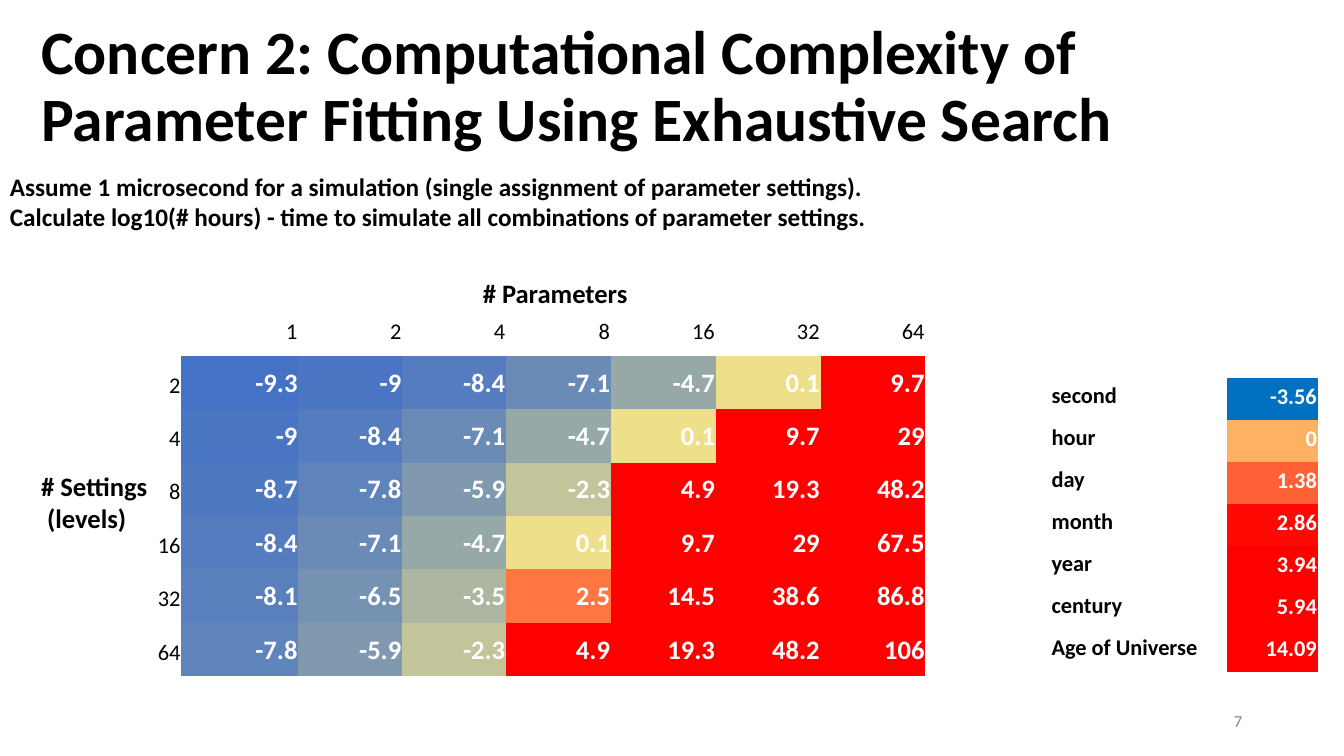
from pptx import Presentation
from pptx.dml.color import RGBColor
from pptx.enum.text import MSO_ANCHOR, PP_ALIGN
from pptx.oxml.ns import qn
from pptx.util import Inches, Pt

LEFT, RIGHT = PP_ALIGN.LEFT, PP_ALIGN.RIGHT
TOP, MIDDLE, BOTTOM = MSO_ANCHOR.TOP, MSO_ANCHOR.MIDDLE, MSO_ANCHOR.BOTTOM
PLAIN_STYLE = "{2D5ABB26-0587-4C30-8999-92F81FD0307C}"
COLORS = {"black": "000000", "white": "FFFFFF", "gray": "888888", "red": "FF0000"}

TITLE = "Concern 2: Computational Complexity of Parameter Fitting Using Exhaustive Search"
# lines, place (left, top, width, height), text format
NOTES = [
    (["# Parameters"], (4.69, 2.65, 2.32, 0.52), {"size": 19, "bold": True}),
    (["# Settings", " (levels)"], (0.31, 4.56, 1.28, 0.84), {"size": 19, "bold": True}),
    (["Assume 1 microsecond for a simulation (single assignment of parameter settings).",
      "Calculate log10(# hours) - time to simulate all combinations of parameter settings."],
     (0, 1.6, 9.37, 0.81), {"size": 18, "bold": True}),
]
PAGE = (["7"], (9.42, 6.95, 3, 0.4), {"size": 12, "color": "gray", "align": RIGHT})

HOURS = [
    ["", "1", "2", "4", "8", "16", "32", "64"],
    ["2", "-9.3", "-9", "-8.4", "-7.1", "-4.7", "0.1", "9.7"],
    ["4", "-9", "-8.4", "-7.1", "-4.7", "0.1", "9.7", "29"],
    ["8", "-8.7", "-7.8", "-5.9", "-2.3", "4.9", "19.3", "48.2"],
    ["16", "-8.4", "-7.1", "-4.7", "0.1", "9.7", "29", "67.5"],
    ["32", "-8.1", "-6.5", "-3.5", "2.5", "14.5", "38.6", "86.8"],
    ["64", "-7.8", "-5.9", "-2.3", "4.9", "19.3", "48.2", "106"],
]
UNITS = [
    ["second", "-3.56"], ["hour", "0"], ["day", "1.38"], ["month", "2.86"],
    ["year", "3.94"], ["century", "5.94"], ["Age of Universe", "14.09"],
]
# Cell fill for each value; every longer time is red
HEAT = {
    "-9.3": "4472C4", "-9": "4975C3", "-8.7": "4E79C1", "-8.4": "547CBF",
    "-8.1": "5980BD", "-7.8": "5F83BB", "-7.1": "6B8BB7", "-6.5": "7692B3",
    "-5.9": "8199AF", "-4.7": "97A8A8", "-3.5": "ADB6A0", "-2.3": "C3C499",
    "0.1": "EEE08A", "2.5": "FF7642",
    "-3.56": "0070C0", "0": "FFB163", "1.38": "FF6036", "2.86": "FF0905",
}
LABEL = {"size": 16, "align": RIGHT, "spacing": 1.15}
VALUE = {"size": 19, "bold": True, "color": "white", "align": RIGHT, "spacing": 1.15}
UNIT = {"size": 16, "bold": True}


def write(frame, lines, size, bold=False, color="black", align=LEFT, spacing=1.0):
    frame.text = "\n".join(lines)
    for par in frame.paragraphs:
        par.alignment, par.line_spacing = align, spacing
        font = par.font
        for key, value in {"name": "Calibri", "size": Pt(size), "bold": bold}.items():
            setattr(font, key, value)
        font.color.rgb = RGBColor.from_string(COLORS[color])


def inset(target, left, top, right, bottom):
    sides = {"left": left, "top": top, "right": right, "bottom": bottom}
    for side, gap in sides.items():
        setattr(target, "margin_" + side, Inches(gap))


def add_text(slide, lines, place, style, pad=0.1, anchor=TOP):
    frame = slide.shapes.add_textbox(*map(Inches, place)).text_frame
    frame.word_wrap = True
    frame.vertical_anchor = anchor
    inset(frame, 0.1, pad, 0.1, pad)
    write(frame, lines, **style)


def add_grid(slide, data, left, top, widths, height, label, value, head):
    """Add a table whose cells below the head rows and past column one are heat-filled."""
    size = sum(widths), height * len(data)
    table = slide.shapes.add_table(
        len(data), len(widths), *map(Inches, (left, top, *size))).table
    table.first_row = table.horz_banding = False
    table._tbl.tblPr.find(qn("a:tableStyleId")).text = PLAIN_STYLE
    for column, width in zip(table.columns, widths):
        column.width = Inches(width)
    for r, texts in enumerate(data):
        table.rows[r].height = Inches(height)
        for c, text in enumerate(texts):
            cell = table.cell(r, c)
            cell.vertical_anchor = BOTTOM
            inset(cell, 0.01, 0.01, 0.01, 0.1)
            hot = r >= head and c > 0
            write(cell.text_frame, [text], **(value if hot else label))
            if hot:
                cell.fill.solid()
                shade = HEAT.get(text, COLORS["red"])
                cell.fill.fore_color.rgb = RGBColor.from_string(shade)
            else:
                cell.fill.background()


def main():
    deck = Presentation()
    deck.slide_width, deck.slide_height = Inches(13.33), Inches(7.5)
    slide = deck.slides.add_slide(deck.slide_layouts[5])

    title = slide.shapes.title
    place = {"left": 0.31, "top": 0.15, "width": 12.63, "height": 1.45}
    for key, value in place.items():
        setattr(title, key, Inches(value))
    title.text_frame.vertical_anchor = MIDDLE
    inset(title.text_frame, 0.1, 0.05, 0.1, 0.05)
    write(title.text_frame, [TITLE], size=44, bold=True, spacing=0.9)

    for note in NOTES:
        add_text(slide, *note)
    widths = [1.3, 1.16] + [1.03] * 2 + [1.04] * 4
    add_grid(slide, HOURS, 0.5, 3, widths, 0.53, LABEL, VALUE, head=1)
    add_grid(slide, UNITS, 10.42, 3.75, [1.75, 0.9], 0.29, UNIT, VALUE | {"size": 16}, head=0)
    add_text(slide, *PAGE, pad=0.05, anchor=MIDDLE)
    deck.save("out.pptx")


if __name__ == "__main__":
    main()
